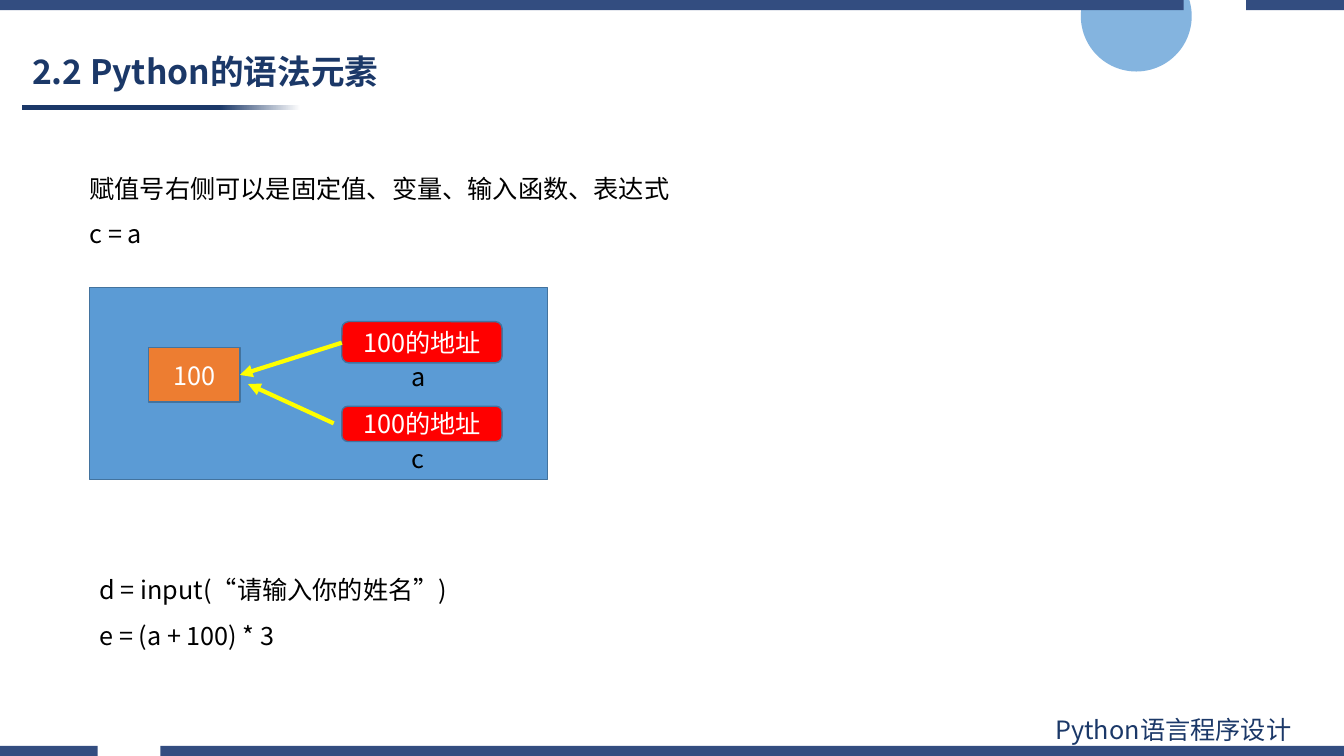
from lxml import etree
from pptx import Presentation
from pptx.dml.color import RGBColor
from pptx.enum.lang import MSO_LANGUAGE_ID
from pptx.enum.shapes import MSO_CONNECTOR, MSO_SHAPE
from pptx.enum.text import MSO_ANCHOR, MSO_AUTO_SIZE, PP_ALIGN
from pptx.oxml.ns import qn
from pptx.util import Inches, Pt

COLORS = {
    "navy": "1B3868", "bar": "334D80", "blue": "5B9BD5", "edge": "43739E",
    "orange": "ED7D31", "red": "FF0000", "yellow": "FFFF00",
    "white": "FFFFFF", "black": "000000",
}
RGB = {name: RGBColor.from_string(code) for name, code in COLORS.items()}
FONT = "Noto Sans CJK SC"
CHINESE = MSO_LANGUAGE_ID.SIMPLIFIED_CHINESE
MIDDLE = MSO_ANCHOR.MIDDLE
CENTER = PP_ALIGN.CENTER
GROW = MSO_AUTO_SIZE.SHAPE_TO_FIT_TEXT
RECTANGLE, ROUNDED, OVAL = MSO_SHAPE.RECTANGLE, MSO_SHAPE.ROUNDED_RECTANGLE, MSO_SHAPE.OVAL
STRAIGHT = MSO_CONNECTOR.STRAIGHT

# Grid of one-inch columns and rows
COLUMNS, ROWS = 13.33, 7.5


def write(shape, text, color="black", size=18, bold=False, spacing=None, align=None):
    frame = shape.text_frame
    frame.word_wrap = True
    frame.text = text
    for para in frame.paragraphs:
        para.alignment = align
        para.line_spacing = spacing
        for span in para.runs:
            font = span.font
            font.size, font.bold, font.language_id = Pt(size), bold, CHINESE
            font.color.rgb = RGB[color]
            font.name = FONT
            east_asian = etree.SubElement(font._element, qn("a:ea"))
            east_asian.set("typeface", FONT)


def add_block(shapes, kind, place, fill, edge=None):
    """Add a shadowless preset shape; place is left, top, width, height in cells."""
    block = shapes.add_shape(kind, *(Inches(cells) for cells in place))
    block.shadow.inherit = False
    block.fill.solid()
    block.fill.fore_color.rgb = RGB[fill]
    if edge:
        block.line.color.rgb = RGB[edge]
        block.line.width = Pt(1)
    else:
        block.line.fill.background()
    return block


deck = Presentation()
deck.slide_width, deck.slide_height = Inches(COLUMNS), Inches(ROWS)
page = deck.slides.add_slide(deck.slide_layouts[6])
shapes = page.shapes

# Decoration: circle, title underline, and two bars with a gap
circle = add_block(shapes, OVAL, (10.72, -0.39, 1.1, 1.1), "blue")
circle_color = circle.fill._xPr.find(qn("a:solidFill"))[0]
etree.SubElement(circle_color, qn("a:alpha")).set("val", "75000")

underline = add_block(shapes, RECTANGLE, (0.22, 1.04, 2.76, 0.05), "navy")
underline.fill.gradient()
underline.fill.gradient_angle = 0
fade = zip(underline.fill.gradient_stops, (0.71, 1), ("navy", "white"))
for stop, position, color in fade:
    stop.position = position
    stop.color.rgb = RGB[color]

# Bar outlines are counted in hundredths of a cell, as freeforms need whole numbers
HUNDREDTH = Inches(0.01)
RIGHT, FOOT, BAR = 1333, 750, 10
GAP_NEAR, GAP_FAR = 97, 159
bars = [
    (FOOT - BAR, GAP_NEAR, GAP_FAR),
    (0, RIGHT - GAP_FAR, RIGHT - GAP_NEAR),
]
for top, gap_start, gap_end in bars:
    bottom = top + BAR
    outline = shapes.build_freeform(0, top, scale=HUNDREDTH)
    outline.add_line_segments([(gap_start, top), (gap_start, bottom), (0, bottom)])
    outline.move_to(gap_end, top)
    outline.add_line_segments([(RIGHT, top), (RIGHT, bottom), (gap_end, bottom)])
    bar = outline.convert_to_shape()
    bar.shadow.inherit = False
    bar.fill.solid()
    bar.fill.fore_color.rgb = RGB["bar"]
    bar.line.fill.background()

# Title, footer and body text
title = shapes.add_textbox(*(Inches(cells) for cells in (0.22, 0.45, 6.04, 0.56)))
write(title, "2.2 Python的语法元素", "navy", size=24, bold=True, spacing=0.9)
title.text_frame.vertical_anchor = MIDDLE

texts = [
    ((10.37, 7.04, 2.94, 0.4), "Python语言程序设计", "navy", None),
    ((0.79, 1.52, 6.07, 1.01), "赋值号右侧可以是固定值、变量、输入函数、表达式\nc = a", "black", 1.5),
    ((0.89, 5.5, 6.05, 0.96), "d = input(“请输入你的姓名”)\ne = (a + 100) * 3", "black", 1.5),
]
for place, text, color, spacing in texts:
    box = shapes.add_textbox(*(Inches(cells) for cells in place))
    write(box, text, color, spacing=spacing)
    box.text_frame.auto_size = GROW

# Memory diagram: two variables hold the address of one value
diagram = shapes.add_group_shape().shapes
add_block(diagram, RECTANGLE, (0.89, 2.85, 4.54, 1.91), "blue", "edge")
value = add_block(diagram, RECTANGLE, (1.47, 3.45, 0.91, 0.54), "orange", "edge")
write(value, "100", "white", align=CENTER)
value.text_frame.vertical_anchor = MIDDLE

variables = [
    ("a", 3.19, 0.41, 3.54, (3.39, 3.4), (2.38, 3.72)),
    ("c", 4.03, 0.35, 4.35, (3.31, 4.2), (2.46, 3.81)),
]
for name, top, height, label_top, start, end in variables:
    address = add_block(diagram, ROUNDED, (3.39, top, 1.59, height), "red", "edge")
    write(address, "100的地址", "white", align=CENTER)
    address.text_frame.vertical_anchor = MIDDLE

    label = diagram.add_textbox(*(Inches(cells) for cells in (3.98, label_top, 0.44, 0.4)))
    write(label, name)
    label.text_frame.auto_size = GROW

    arrow = diagram.add_connector(STRAIGHT, *(Inches(cells) for cells in start + end))
    arrow.line.color.rgb = RGB["yellow"]
    arrow.line.width = Pt(3)
    etree.SubElement(arrow.line._get_or_add_ln(), qn("a:tailEnd")).set("type", "triangle")
    etree.SubElement(arrow._element.spPr, qn("a:effectLst"))

deck.save("out.pptx")
